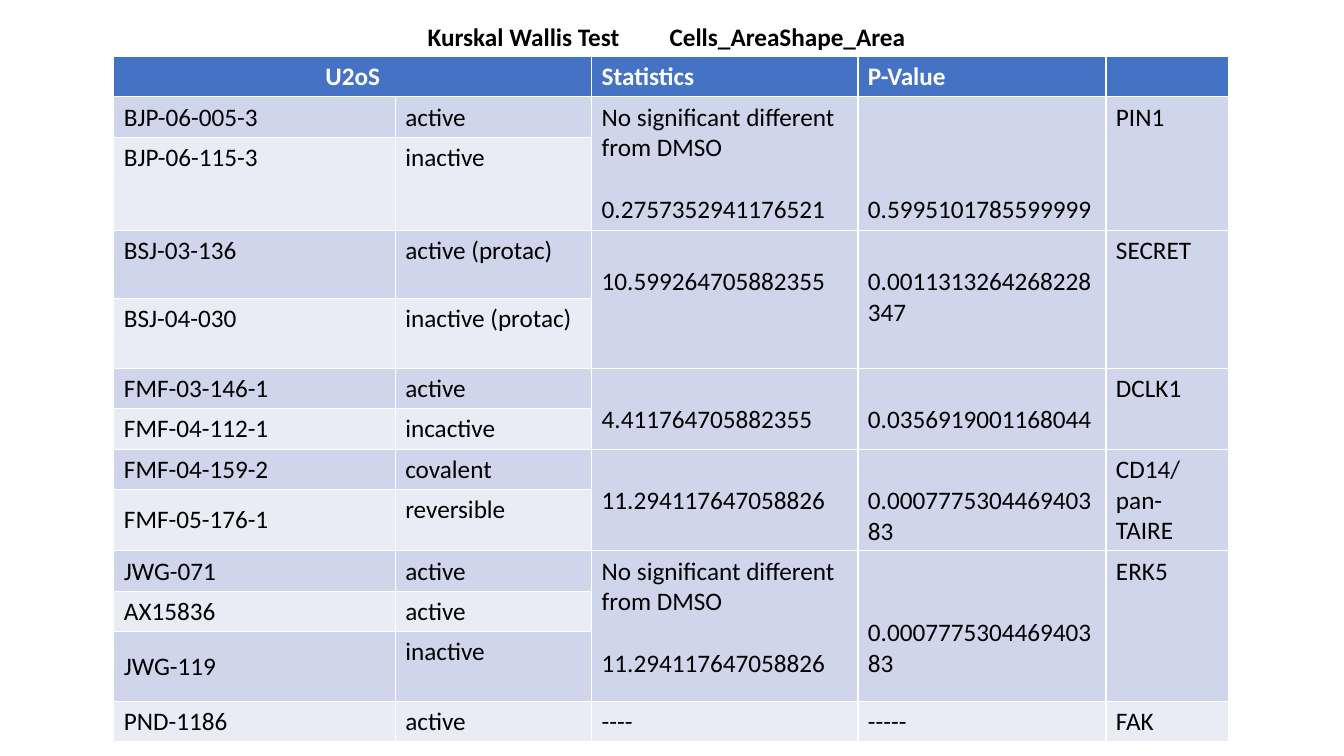
from dataclasses import dataclass

from lxml import etree
from pptx import Presentation
from pptx.dml.color import RGBColor
from pptx.enum.text import MSO_ANCHOR as Anchor, MSO_AUTO_SIZE as AutoSize, PP_ALIGN as Align
from pptx.oxml.ns import qn
from pptx.table import Table, _Cell as Cell
from pptx.util import Cm, Pt

BLACK = RGBColor(0x00, 0x00, 0x00)
WHITE = RGBColor(0xFF, 0xFF, 0xFF)
BLUE = RGBColor(0x44, 0x72, 0xC4)
BAND_DARK = RGBColor(0xCF, 0xD5, 0xEA)
BAND_LIGHT = RGBColor(0xE9, 0xEB, 0xF5)

FONT = "Calibri"
SIZE = Pt(18)
LINE_CM = 0.78
NO_DIFFERENCE = "No significant different from DMSO"
HEADERS = ["U2oS", "", "Statistics", "P-Value", ""]
COL_WIDTHS = [7.09, 4.95, 6.71, 6.25, 3.1]
ROW_HEIGHT = 0.99
TALL_ROWS = {2: 1.32, 3: 1.73, 4: 1.75, 8: 1.5, 11: 1.75}
FIRST_MIDDLE_ROW = 6


@dataclass
class Compound:
    name: str
    activity: str


@dataclass
class Group:
    target: str
    compounds: list[Compound]
    statistic: str
    p_value: str
    statistic_drop: int = 1
    p_value_drop: int = 1
    note: str = ""


GROUPS = [
    Group("PIN1", [Compound("BJP-06-005-3", "active"), Compound("BJP-06-115-3", "inactive")],
          "0.2757352941176521", "0.5995101785599999", 0, 3, NO_DIFFERENCE),
    Group("SECRET", [Compound("BSJ-03-136", "active (protac)"),
                     Compound("BSJ-04-030", "inactive (protac)")],
          "10.599264705882355", "0.0011313264268228347"),
    Group("DCLK1", [Compound("FMF-03-146-1", "active"), Compound("FMF-04-112-1", "incactive")],
          "4.411764705882355", "0.0356919001168044"),
    Group("CD14/pan-TAIRE", [Compound("FMF-04-159-2", "covalent"),
                             Compound("FMF-05-176-1", "reversible")],
          "11.294117647058826", "0.000777530446940383"),
    Group("ERK5", [Compound("JWG-071", "active"), Compound("AX15836", "active"),
                   Compound("JWG-119", "inactive")],
          "11.294117647058826", "0.000777530446940383", 0, 2, NO_DIFFERENCE),
    Group("FAK", [Compound("PND-1186", "active")], "----", "-----", 0, 0),
]


def write_cell(cell: Cell, lines: list[str], color: RGBColor = BLACK,
               bold: bool = False, drop: int = 0) -> None:
    cell.margin_top = Cm(0.13 + LINE_CM * drop)
    tf = cell.text_frame
    for i, line in enumerate(lines):
        p = tf.add_paragraph() if i else tf.paragraphs[0]
        p.text = line
        if i:
            p.space_before = Cm(LINE_CM)
        p.font.name, p.font.size, p.font.bold = FONT, SIZE, bold
        p.font.color.rgb = color


def size_and_fill(table: Table) -> None:
    for column, width in zip(table.columns, COL_WIDTHS):
        column.width = Cm(width)
    for i, row in enumerate(table.rows):
        row.height = Cm(TALL_ROWS.get(i, ROW_HEIGHT))
        color = BLUE if i == 0 else BAND_DARK if i % 2 else BAND_LIGHT
        for cell in row.cells:
            cell.fill.solid()
            cell.fill.fore_color.rgb = color


def write_header(table: Table) -> None:
    table.cell(0, 0).merge(table.cell(0, 1))
    for col, text in enumerate(HEADERS):
        if text:
            write_cell(table.cell(0, col), [text], WHITE, True)
    table.cell(0, 0).text_frame.paragraphs[0].alignment = Align.CENTER


def write_group(table: Table, group: Group, top: int) -> int:
    bottom = top + len(group.compounds)
    for row, compound in enumerate(group.compounds, top):
        write_cell(table.cell(row, 0), [compound.name])
        write_cell(table.cell(row, 1), [compound.activity])
        if row >= FIRST_MIDDLE_ROW:
            table.cell(row, 0).vertical_anchor = Anchor.MIDDLE
    if bottom - top > 1:
        for col in range(2, 5):
            table.cell(top, col).merge(table.cell(bottom - 1, col))
    statistics = [group.note, group.statistic] if group.note else [group.statistic]
    write_cell(table.cell(top, 2), statistics, drop=group.statistic_drop)
    write_cell(table.cell(top, 3), [group.p_value], drop=group.p_value_drop)
    write_cell(table.cell(top, 4), [group.target])
    return bottom


def main() -> None:
    prs = Presentation()
    prs.slide_width, prs.slide_height = Cm(33.87), Cm(19.05)
    s = prs.slides.add_slide(prs.slide_layouts[5])

    row_count = 1 + sum(len(group.compounds) for group in GROUPS)
    frame = s.shapes.add_table(row_count, len(HEADERS), Cm(2.87), Cm(1.42), Cm(28.1), Cm(17.2))
    table = frame.table
    size_and_fill(table)
    write_header(table)
    top = 1
    for group in GROUPS:
        top = write_group(table, group, top)

    title = s.shapes.title
    title.left, title.top, title.width, title.height = Cm(10.52), Cm(0.41), Cm(12.85), Cm(1.02)
    tf = title.text_frame
    tf.word_wrap = False
    tf.auto_size = AutoSize.SHAPE_TO_FIT_TEXT
    tf.vertical_anchor = Anchor.TOP
    p = tf.paragraphs[0]
    p.text = "Kurskal Wallis Test\tCells_AreaShape_Area"
    p.alignment = Align.LEFT
    tabs = etree.SubElement(p._p.get_or_add_pPr(), qn("a:tabLst"))
    etree.SubElement(tabs, qn("a:tab"), pos=str(Cm(6.1)), algn="l")
    p.font.name, p.font.size, p.font.bold = FONT, SIZE, True
    p.font.color.rgb = BLACK

    prs.save("out.pptx")


if __name__ == "__main__":
    main()
